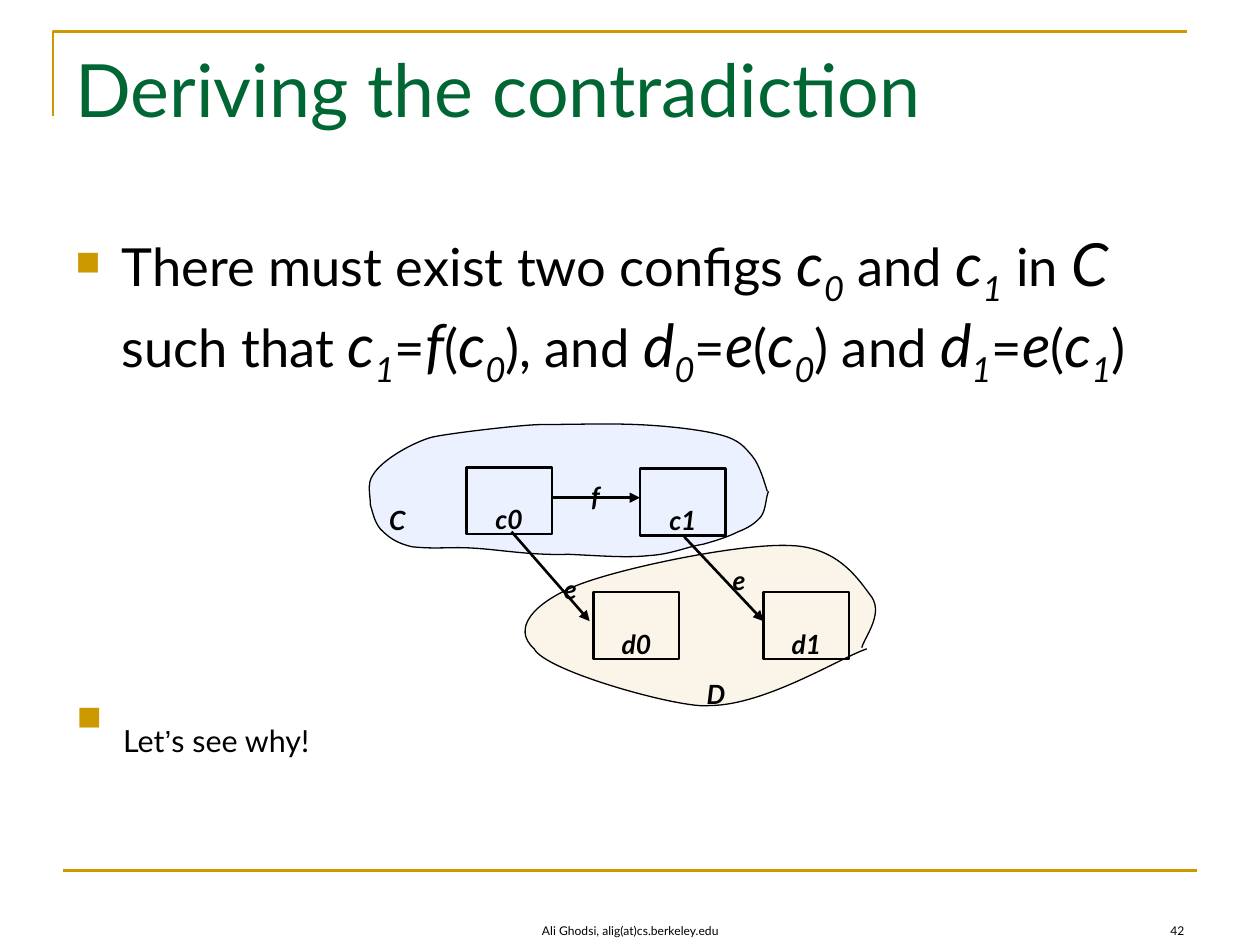
"""Build the slide on deriving the contradiction between two sets of configs."""
from dataclasses import dataclass

from lxml.etree import SubElement
from pptx import Presentation
from pptx.dml.color import RGBColor
from pptx.enum.shapes import MSO_CONNECTOR, MSO_SHAPE
from pptx.enum.text import MSO_ANCHOR, PP_ALIGN
from pptx.oxml.ns import qn
from pptx.util import Inches, Pt


@dataclass(frozen=True)
class Theme:
    font: str = "Lato"
    quote: str = "Arial"
    mark: str = "Wingdings"
    ink: str = "000000"
    gold: str = "CC9900"
    green: str = "006633"
    blue: str = "3366FF"
    title: int = 42
    body: int = 30
    maths: int = 34
    label: int = 26
    foot: int = 12
    thin: float = 0.75
    thick: float = 1.5
    drop: int = -25


@dataclass(frozen=True)
class Label:
    text: str
    left: float
    top: float
    width: float = 0.71
    align: PP_ALIGN = PP_ALIGN.CENTER


@dataclass(frozen=True)
class Node:
    text: str
    left: float
    top: float


@dataclass(frozen=True)
class Line:
    start: tuple
    end: tuple
    color: str = Theme.ink
    arrow: bool = True


@dataclass(frozen=True)
class Blob:
    color: str
    start: tuple
    curves: tuple


THEME = Theme()
HIGH = 0.53
SIDE = 0.68
BLOBS = (
    Blob(THEME.gold, (6.88, 5.15), (
        (6.67, 5.22, 6.07, 5.6, 5.63, 5.6), (5.42, 5.63, 4.33, 5.33, 4.24, 5.15),
        (4.06, 4.99, 4.23, 4.79, 4.57, 4.65), (4.91, 4.51, 5.88, 4.31, 6.27, 4.33),
        (6.66, 4.34, 6.82, 4.61, 6.92, 4.74), (7.01, 4.88, 6.86, 5.06, 6.84, 5.14))),
    Blob(THEME.blue, (6.1, 3.9), (
        (6.08, 3.93, 6.08, 4.05, 6.04, 4.1), (6, 4.15, 5.94, 4.19, 5.86, 4.22),
        (5.78, 4.26, 5.69, 4.29, 5.58, 4.32), (5.45, 4.34, 5.33, 4.4, 5.15, 4.41),
        (4.97, 4.43, 4.75, 4.41, 4.51, 4.4), (4.21, 4.41, 3.95, 4.36, 3.74, 4.35),
        (3.57, 4.34, 3.46, 4.36, 3.27, 4.34), (3.14, 4.31, 3.08, 4.26, 3.02, 4.2),
        (2.97, 4.14, 2.96, 4.07, 2.94, 4.01), (2.94, 3.93, 2.91, 3.84, 2.96, 3.77),
        (3.03, 3.65, 3.28, 3.51, 3.43, 3.47), (3.56, 3.44, 4.15, 3.37, 4.3, 3.37),
        (4.52, 3.37, 4.82, 3.36, 5.05, 3.37), (5.29, 3.38, 5.56, 3.41, 5.71, 3.45),
        (5.87, 3.49, 5.91, 3.55, 5.97, 3.62), (6.03, 3.69, 6.07, 3.84, 6.09, 3.9))),
)
NODES = (Node("c0", 3.7, 3.71), Node("c1", 5.08, 3.72),
         Node("d0", 4.71, 4.7), Node("d1", 6.06, 4.7))
LABELS = (Label("f", 4.37, 3.52), Label("e", 4.17, 4.26), Label("e", 5.51, 4.19),
          Label("C", 2.99, 3.71, 0.83, PP_ALIGN.LEFT),
          Label("D", 5.51, 5.09, 0.83, PP_ALIGN.LEFT))
LINES = (Line((0.5, 6.91), (9.5, 6.91), THEME.gold, False),
         Line((4.37, 3.95), (5.08, 3.95)), Line((5.43, 4.26), (6.06, 4.93)),
         Line((4.06, 4.22), (4.68, 4.93)))
CLAIM = ("There must exist two configs |c0| and |c1| in |C| such that |c1|=|f|(|c0|), "
         "and |d0|=|e|(|c0|) and |d1|=|e|(|c1|)")


def paint(shape, color: str, width: float) -> None:
    """Set an outline and drop the shadow."""
    shape.line.color.rgb = RGBColor.from_string(color)
    shape.line.width = Pt(width)
    shape.shadow.inherit = False


def style(para, size: int, color: str = THEME.ink, bold: bool = False) -> None:
    """Set the font that all runs of a paragraph share."""
    font = para.font
    font.name, font.size = THEME.font, Pt(size)
    font.color.rgb = RGBColor.from_string(color)
    if bold:
        font.bold = font.italic = True


def add_run(para, text: str, low: bool = False):
    """Add a run, lowered if asked, and return it."""
    run = para.add_run()
    run.text = text
    if low:
        run.font._element.set("baseline", str(THEME.drop * 1000))
    return run


def add_box(slide, left: float, top: float, width: float, height: float):
    """Add a wrapping text box and return its frame."""
    frame = slide.shapes.add_textbox(
        Inches(left), Inches(top), Inches(width), Inches(height)).text_frame
    frame.word_wrap = True
    return frame


def add_bullet(para) -> None:
    """Give a paragraph a hanging gold square."""
    props = para._p.get_or_add_pPr()
    props.set("marL", str(Inches(0.37)))
    props.set("indent", str(Inches(-0.37)))
    SubElement(SubElement(props, qn("a:buClr")), qn("a:srgbClr"), val=THEME.gold)
    SubElement(props, qn("a:buSzPct"), val="65000")
    SubElement(props, qn("a:buFont"), typeface=THEME.mark, charset="2")
    SubElement(props, qn("a:buChar"), char="n")


def add_blob(slide, blob: Blob) -> None:
    """Draw a tinted outline of cubic curves."""
    build = slide.shapes.build_freeform(*map(Inches, blob.start))
    build.add_line_segments(
        [(Inches(c[i]), Inches(c[i + 1])) for c in blob.curves for i in (0, 2, 4)],
        close=False)
    shape = build.convert_to_shape()
    track = next(shape._element.iter(qn("a:path")))
    steps = track.findall(qn("a:lnTo"))
    for i in range(0, len(steps), 3):
        curve = SubElement(track, qn("a:cubicBezTo"))
        for step in steps[i:i + 3]:
            curve.append(step[0])
            track.remove(step)
    shape.fill.solid()
    shape.fill.fore_color.rgb = RGBColor.from_string(blob.color)
    tint = shape._element.spPr.find(qn("a:solidFill")).find(qn("a:srgbClr"))
    SubElement(tint, qn("a:alpha"), val="9000")
    paint(shape, THEME.ink, THEME.thin)


def add_line(slide, line: Line) -> None:
    """Draw a straight line, with an arrowhead if asked."""
    link = slide.shapes.add_connector(
        MSO_CONNECTOR.STRAIGHT, *map(Inches, line.start + line.end))
    link.line.color.rgb = RGBColor.from_string(line.color)
    link.line.width = Pt(THEME.thick)
    if line.arrow:
        SubElement(link.line._get_or_add_ln(), qn("a:tailEnd"), type="triangle")
    SubElement(link._element.spPr, qn("a:effectLst"))


def write(frame, text: str, align: PP_ALIGN, size: int, bold: bool = False) -> None:
    """Write one lowered line of text."""
    para = frame.paragraphs[0]
    para.alignment = align
    add_run(para, text, True)
    style(para, size, bold=bold)


def add_node(slide, node: Node) -> None:
    """Draw a config box with its name."""
    shape = slide.shapes.add_shape(MSO_SHAPE.RECTANGLE, Inches(node.left),
                                   Inches(node.top), Inches(SIDE), Inches(HIGH))
    shape.fill.background()
    paint(shape, THEME.ink, THEME.thick)
    frame = shape.text_frame
    frame.margin_left = frame.margin_right = Inches(0.04)
    frame.margin_top = frame.margin_bottom = Inches(0.04)
    frame.vertical_anchor = MSO_ANCHOR.TOP
    write(frame, node.text, PP_ALIGN.CENTER, THEME.label, True)


def add_texts(slide) -> None:
    """Write the title, the two bullets and the footer."""
    title = add_box(slide, 0.5, 0.3, 9, 1.25).paragraphs[0]
    add_run(title, "Deriving the contradiction")
    style(title, THEME.title, THEME.green)
    claim = add_box(slide, 0.5, 1.75, 9, 1.51).paragraphs[0]
    add_bullet(claim)
    for i, part in enumerate(CLAIM.split("|")):
        for j, text in enumerate(part if i % 2 else [part]):
            run = add_run(claim, text, j > 0 and i % 2 == 1)
            run.font.size = Pt(THEME.maths if i % 2 else THEME.body)
            run.font.italic = i % 2 == 1
    style(claim, THEME.body)
    hint = add_box(slide, 0.51, 5.4, 9, 0.98).paragraphs[0]
    add_bullet(hint)
    for text in ("Let", "’", "s see why!"):
        add_run(hint, text, True).font.name = THEME.quote if text == "’" else THEME.font
    style(hint, THEME.body)
    for text, left, width, align in (
            ("Ali Ghodsi, alig(at)cs.berkeley.edu", 3.42, 3.17, PP_ALIGN.CENTER),
            ("42", 7.17, 2.33, PP_ALIGN.RIGHT)):
        frame = add_box(slide, left, 6.99, width, 0.5)
        frame.vertical_anchor = MSO_ANCHOR.BOTTOM
        write(frame, text, align, THEME.foot)


def main() -> None:
    """Draw the slide and save it."""
    deck = Presentation()
    deck.slide_width, deck.slide_height = Inches(10), Inches(7.5)
    slide = deck.slides.add_slide(deck.slide_layouts[6])
    build = slide.shapes.build_freeform(Inches(0.42), Inches(0.92))
    build.add_line_segments([(Inches(0.42), Inches(0.25)),
                             (Inches(9.42), Inches(0.25))], close=False)
    rule = build.convert_to_shape()
    rule.fill.background()
    paint(rule, THEME.gold, THEME.thick)
    for blob in BLOBS:
        add_blob(slide, blob)
    add_texts(slide)
    for node in NODES:
        add_node(slide, node)
    for line in LINES:
        add_line(slide, line)
    for label in LABELS:
        box = add_box(slide, label.left, label.top, label.width, HIGH)
        write(box, label.text, label.align, THEME.label, True)
    deck.save("out.pptx")


if __name__ == "__main__":
    main()
